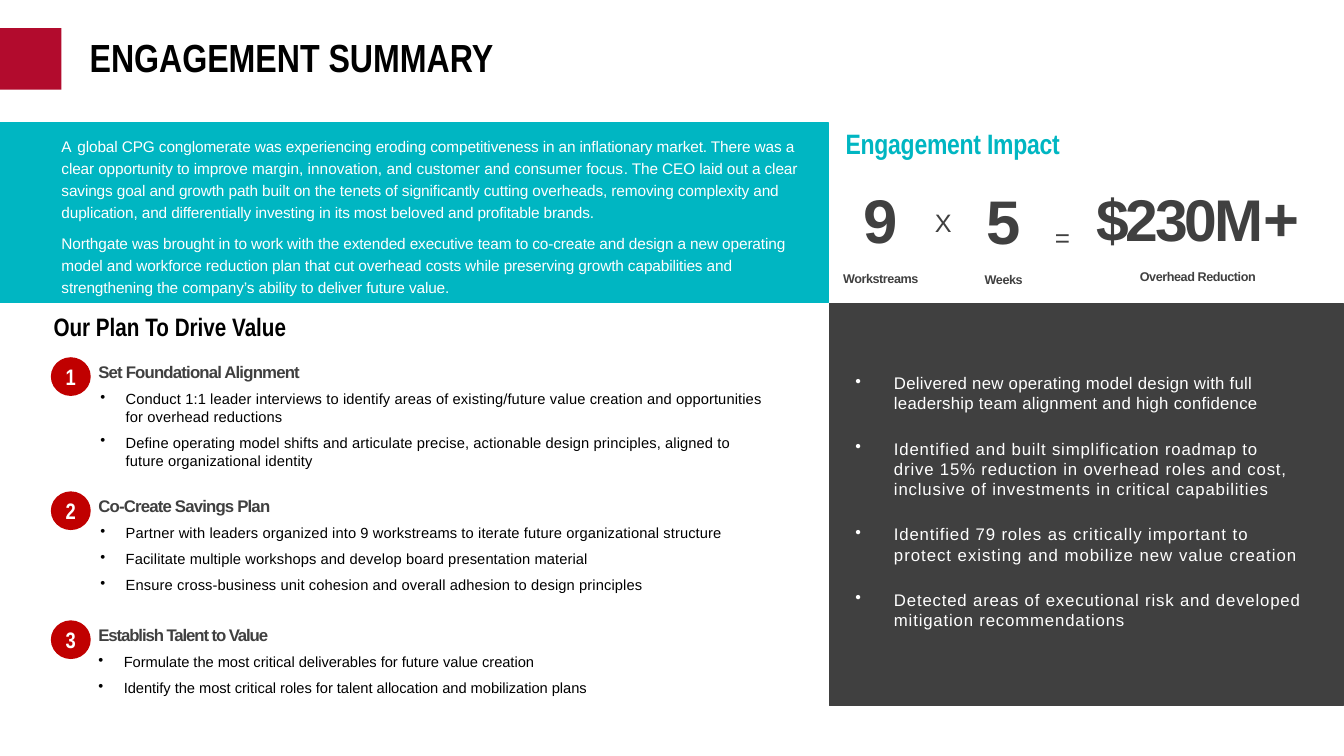
import pptx
import pptx.dml.color
import pptx.enum.shapes
import pptx.enum.text
import pptx.oxml.ns
import pptx.util
from lxml import etree

Cm = pptx.util.Cm
Pt = pptx.util.Pt
Shape = pptx.enum.shapes.MSO_SHAPE
Align = pptx.enum.text.PP_ALIGN
Anchor = pptx.enum.text.MSO_ANCHOR
colour_of = pptx.dml.color.RGBColor.from_string


class Theme:
    body_font, heading_font = "Arial", "Arial Narrow"
    crimson, red, teal = "B20B2D", "C00000", "00B6C2"
    charcoal, black, white = "404040", "000000", "FFFFFF"
    title, impact, plan, number = 28, 20, 18, 16
    intro, phase, step, result = 11, 12, 10.5, 12
    figure, amount, label, times, equals = 44, 42, 9, 18, 32


deck = pptx.Presentation()
deck.slide_width, deck.slide_height = Cm(33.87), Cm(19.05)
page = deck.slides.add_slide(deck.slide_layouts[6])


def add_frame(left, top, width, height, shape=None, fill=None, line=0.75, anchor=Anchor.TOP, inset=0.03):
    """Add a filled shape, or a text box if no shape is named, and return its text frame."""
    place = Cm(left), Cm(top), Cm(width), Cm(height)
    if shape is None:
        box = page.shapes.add_textbox(*place)
    else:
        box = page.shapes.add_shape(shape, *place)
        box.shadow.inherit = False
        box.fill.solid()
        box.fill.fore_color.rgb = colour_of(fill)
        if line:
            box.line.color.rgb = colour_of(fill)
            box.line.width = Pt(line)
        else:
            box.line.fill.background()
    frame = box.text_frame
    frame.word_wrap = True
    frame.vertical_anchor = anchor
    frame.margin_left = frame.margin_right = frame.margin_bottom = 0
    frame.margin_top = Cm(inset)
    return frame


def add_para(frame, spans, size, colour, bold=False, font=Theme.body_font, align=Align.LEFT,
             bullet=None, after=0):
    """Write (text, letter spacing in points) spans; bullet gives (left margin, hanging) in cm."""
    para = frame.add_paragraph() if frame.text else frame.paragraphs[0]
    para.alignment = align
    para.space_after = Pt(after)
    if bullet:
        margin, hanging = bullet
        properties = para._p.get_or_add_pPr()
        properties.set("marL", str(Cm(margin)))
        properties.set("indent", str(-Cm(hanging)))
        mark = etree.SubElement(properties, pptx.oxml.ns.qn("a:buChar"))
        mark.set("char", "•")
    para.font.name = font
    para.font.size = Pt(size)
    para.font.bold = bold
    para.font.color.rgb = colour_of(colour)
    for text, spacing in spans:
        span = para.add_run()
        span.text = text
        if spacing:
            span.font._element.set("spc", str(round(spacing * 100)))
    return para


# Title
add_frame(0, 0.71, 1.55, 1.55, Shape.RECTANGLE, Theme.crimson, line=0)
title = add_frame(2.26, 0.86, 30.9, 1.27, anchor=Anchor.MIDDLE, inset=0)
add_para(title, [("ENGAGEMENT SUMMARY", 0)], Theme.title, Theme.black, True,
         Theme.heading_font).line_spacing = 0.9

# Introduction
add_frame(0, 3.1, 20.88, 4.52, Shape.RECTANGLE, Theme.teal)
intro = add_frame(1.55, 3.33, 18.62, 4.14)
intro_paragraphs = [
    [("A ", 0.8),
     ("global CPG conglomerate was experiencing eroding competitiveness in an inflationary market. "
      "There was a clear opportunity to improve ", -0.1),
     ("margin, innovation, and customer and consumer focus", 0),
     (". The CEO laid out a clear savings goal and growth path built on the tenets of significantly "
      "cutting overheads, removing complexity and duplication, and differentially investing in its "
      "most beloved and profitable brands.", -0.1)],
    [("Northgate was brought in to work with the extended executive team to co-create and design a "
      "new operating model and workforce reduction plan that cut overhead costs while preserving "
      "growth capabilities and strengthening the company’s ability to deliver future value.", -0.1)],
]
for spans in intro_paragraphs:
    add_para(intro, spans, Theme.intro, Theme.white, after=6).line_spacing = 1.2

# Engagement impact
impact = add_frame(21.31, 3.15, 12, 0.89)
add_para(impact, [("Engagement Impact", -0.2)], Theme.impact, Theme.teal, True, Theme.heading_font)

stats = [
    (20.8, 3.43, 2.79, [("9", -2.2)], Theme.figure, "Workstreams"),
    (23.9, 3.45, 2.79, [("5", -2.2)], Theme.figure, "Weeks"),
    (27.48, 3.38, 5.41, [("$230M", -2.2), ("+", -2.2)], Theme.amount, "Overhead Reduction"),
]
for left, top, width, spans, size, caption in stats:
    stat = add_frame(left, top, width, 3.78, anchor=Anchor.BOTTOM, inset=0)
    value = add_para(stat, spans, size, Theme.charcoal, True, align=Align.CENTER)
    value.line_spacing = Pt(42.8)
    if len(spans) > 1:
        value.runs[-1].font.size = Pt(Theme.figure)
    label = add_para(stat, [(caption, -0.3)], Theme.label, Theme.charcoal, True, align=Align.CENTER)
    label.line_spacing = label.space_before = Pt(10.8)

times = add_frame(23.19, 4.8, 1.17, 1.57, anchor=Anchor.MIDDLE)
add_para(times, [("X", 0.9)], Theme.times, Theme.charcoal, align=Align.CENTER)
equals = add_frame(26.19, 5.05, 1.17, 0.94)
sign = add_para(equals, [("=", 0.9)], Theme.equals, Theme.charcoal, align=Align.CENTER)
sign.runs[0].font._element.set("baseline", "-3000")

# Results
add_frame(20.9, 7.65, 12.95, 10.13, Shape.RECTANGLE, Theme.charcoal)
results = add_frame(21.54, 9.37, 11.35, 6.58)
result_paragraphs = [
    [("Delivered new operating model design with full leadership team alignment and high confidence", 0.2)],
    [("Identified and built simplification roadmap to drive 15% reduction in overhead roles and cost, "
      "inclusive of investments in critical capabilities", 0.6)],
    [("Identified 79 roles ", 0.6),
     ("as critically important to protect existing and mobilize new value creation", 0.7)],
    [("Detected areas of executional risk and developed mitigation recommendations", 0.6)],
]
for spans in result_paragraphs:
    add_para(results, spans, Theme.result, Theme.white, bullet=(0.99, 0.97), after=18)

# Plan
plan = add_frame(1.35, 7.7, 17.93, 0.94, inset=0.15)
add_para(plan, [("Our Plan To Drive Value", 0)], Theme.plan, Theme.black, True, Theme.heading_font)

phases = [
    (9.09, 16.99, 2.06, "Set Foundational Alignment", -0.6, 0.1, 0.71, [
        "Conduct 1:1 leader interviews to identify areas of existing/future value creation and "
        "opportunities for overhead reductions",
        "Define operating model shifts and articulate precise, actionable design principles, aligned "
        "to future organizational identity"]),
    (12.47, 16.28, 1.8, "Co-Create Savings Plan", -0.6, 0.1, 0.71, [
        "Partner with leaders organized into 9 workstreams to iterate future organizational structure",
        "Facilitate multiple workshops and develop board presentation material",
        "Ensure cross-business unit cohesion and overall adhesion to design principles"]),
    (15.72, 16.28, 1.14, "Establish Talent to Value", -0.8, 0, 0.66, [
        "Formulate the most critical deliverables for future value creation",
        "Identify the most critical roles for talent allocation and mobilization plans"]),
]
for number, (top, width, height, name, name_spacing, step_spacing, margin, steps) in enumerate(phases, 1):
    badge = add_frame(1.3, top - 0.07, 0.97, 0.94, Shape.OVAL, Theme.red, line=1,
                      anchor=Anchor.MIDDLE, inset=0)
    add_para(badge, [(str(number), 0)], Theme.number, Theme.white, True, Theme.heading_font, Align.CENTER)
    heading = add_frame(2.48, top, width, 0.56)
    add_para(heading, [(name, name_spacing)], Theme.phase, Theme.charcoal, True)
    step_list = add_frame(2.46, top + 0.71, width, height)
    for step in steps:
        add_para(step_list, [(step, step_spacing)], Theme.step, Theme.black,
                 bullet=(margin, 0.64), after=6)

deck.save("out.pptx")
